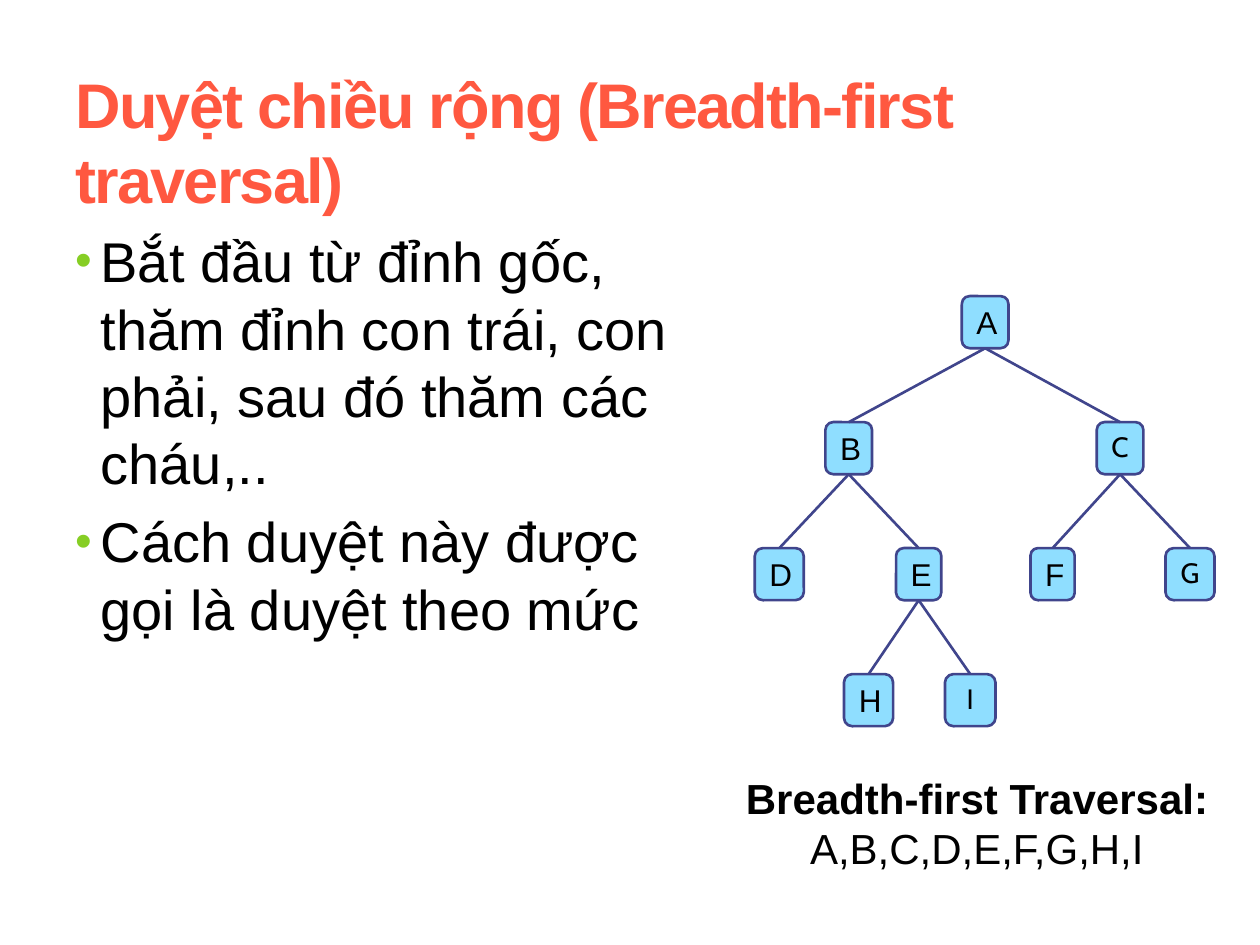
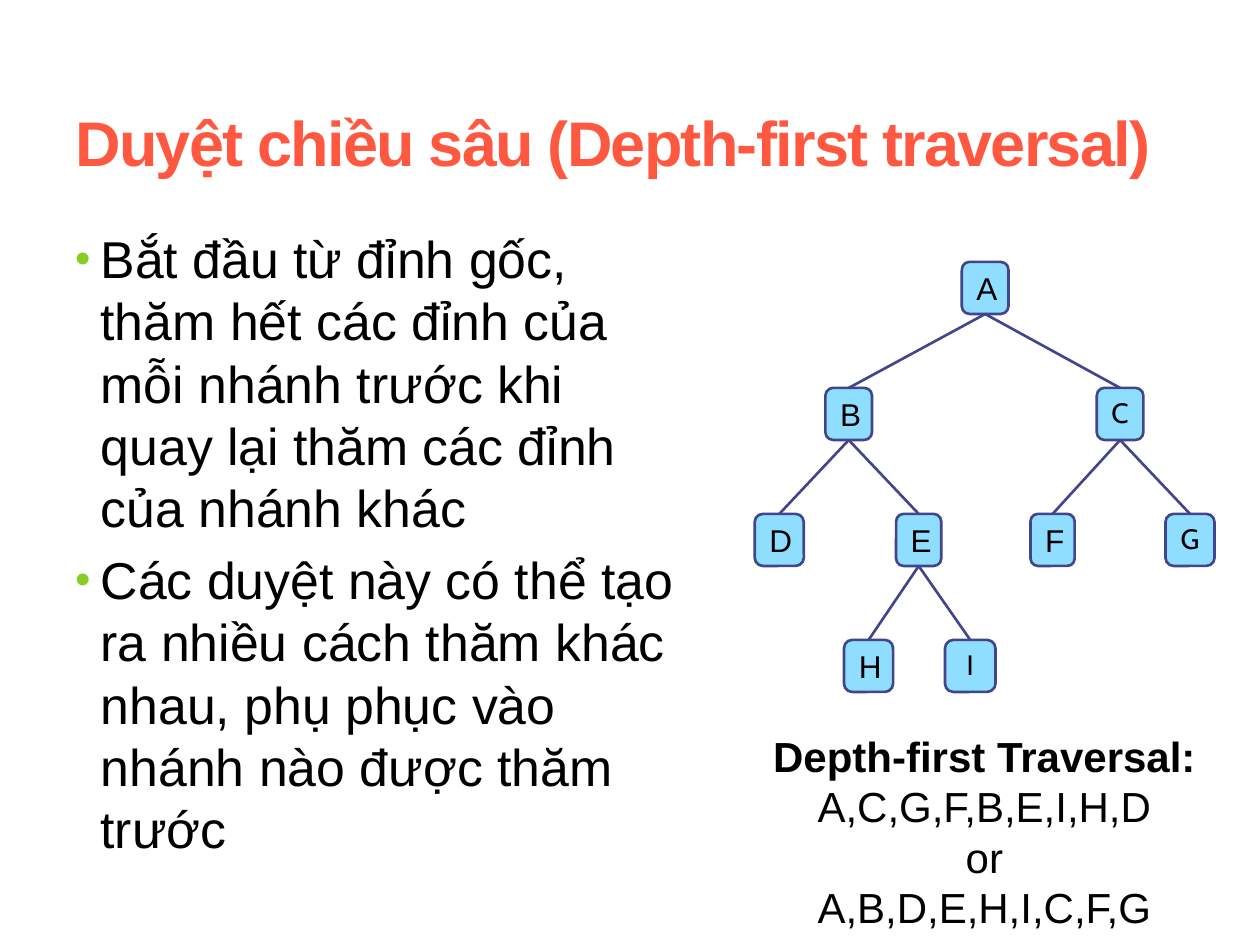
from pptx import Presentation, util as u
from pptx.dml.color import RGBColor
from pptx.enum import shapes, text
from pptx.oxml.ns import qn
from lxml import etree

# Shared look
CORAL, GREEN, BLACK = "FF5840", "86CE24", "000000"
NODE_FILL, NODE_LINE = "8FDEFF", "40458C"
ARIAL, CABIN = "Arial", "Cabin"

# Tree: label -> (level, centre x in cm, width in cm)
NODES = {
    "A": (0, 19.86, 0.94),
    "B": (1, 17.11, 0.94), "C": (1, 22.58, 0.94),
    "D": (2, 15.71, 0.99), "E": (2, 18.52, 0.91),
    "F": (2, 21.22, 0.89), "G": (2, 23.99, 0.99),
    "H": (3, 17.51, 0.99), "I": (3, 19.56, 1.02),
}
EDGES = ["AB", "AC", "BD", "BE", "CF", "CG", "EH", "EI"]
CABIN_NODES = "CGI"
NODE_HEIGHT, LEVEL_STEP = 1.05, 2.54


def color(hex_code):
    return RGBColor.from_string(hex_code)


def add_text(p, content, size=18, font=ARIAL, fill=BLACK, bold=False, spacing=None):
    """Add text to a paragraph; a newline becomes a line break."""
    for i, line in enumerate(content.split("\n")):
        if i:
            p.add_line_break()
        r = p.add_run()
        r.text = line
        r.font.size, r.font.name, r.font.bold = u.Pt(size), font, bold
        r.font.color.rgb = color(fill)
        if spacing is not None:
            r._r.get_or_add_rPr().set("spc", str(spacing * 100))


def add_box(s, left, top, width, height, anchor=text.MSO_ANCHOR.TOP):
    sp = s.shapes.add_textbox(u.Cm(left), u.Cm(top), u.Cm(width), u.Cm(height))
    tf = sp.text_frame
    tf.word_wrap = True
    tf.vertical_anchor = anchor
    return tf


def add_paragraph(tf, index):
    return tf.add_paragraph() if index else tf.paragraphs[0]


def add_title(s, title):
    tf = add_box(s, 1.27, 1.47, 22.86, 2.74, text.MSO_ANCHOR.MIDDLE)
    add_text(tf.paragraphs[0], title, size=36, fill=CORAL, bold=True, spacing=-1)


def set_bullet(p):
    pPr = p._p.get_or_add_pPr()
    pPr.set("marL", str(u.Cm(0.51)))
    pPr.set("indent", str(u.Cm(-0.51)))
    bu_color = etree.SubElement(pPr, qn("a:buClr"))
    etree.SubElement(bu_color, qn("a:srgbClr"), val=GREEN)
    etree.SubElement(pPr, qn("a:buSzPct"), val="85000")
    etree.SubElement(pPr, qn("a:buFont"), typeface=ARIAL)
    etree.SubElement(pPr, qn("a:buChar"), char="•")


def add_bullets(s, items, size):
    tf = add_box(s, 1.27, 4.45, 12.7, 12.9)
    for i, item in enumerate(items):
        p = add_paragraph(tf, i)
        set_bullet(p)
        if i:
            p.space_before = u.Pt(round(size * 0.2, 1))
        add_text(p, item, size=size)


def add_caption(s, box, heading, orders):
    """Bold heading that wraps before the first visiting order."""
    tf = add_box(s, *box)
    for i, order in enumerate(orders):
        p = add_paragraph(tf, i)
        p.alignment = text.PP_ALIGN.CENTER
        if i == 0:
            add_text(p, heading + " ", size=24, bold=True)
        add_text(p, order, size=24)


def add_node(group, label, tree_top):
    level, center, width = NODES[label]
    sp = group.shapes.add_shape(
        shapes.MSO_SHAPE.ROUNDED_RECTANGLE, u.Cm(center - width / 2),
        u.Cm(tree_top + level * LEVEL_STEP), u.Cm(width), u.Cm(NODE_HEIGHT))
    sp.shadow.inherit = False
    sp.fill.solid()
    sp.fill.fore_color.rgb = color(NODE_FILL)
    sp.line.color.rgb = color(NODE_LINE)
    sp.line.width = u.Pt(1.5)
    tf = sp.text_frame
    tf.word_wrap = False
    tf.vertical_anchor = text.MSO_ANCHOR.MIDDLE
    p = tf.paragraphs[0]
    if label in CABIN_NODES:
        p.alignment = text.PP_ALIGN.CENTER
        p.line_spacing = 0.93
        add_text(p, label, size=16, font=CABIN)
    else:
        p.alignment = text.PP_ALIGN.LEFT
        add_text(p, label)
    return sp


def add_edge(group, parent, child):
    line = group.shapes.add_connector(
        shapes.MSO_CONNECTOR.STRAIGHT,
        parent.left + parent.width // 2, parent.top + parent.height,
        child.left + child.width // 2, child.top)
    line.begin_connect(parent, 2)
    line.end_connect(child, 0)
    line.line.color.rgb = color(NODE_LINE)
    line.line.width = u.Pt(1.5)
    etree.SubElement(line._element.spPr, qn("a:effectLst"))


def add_tree(s, top):
    group = s.shapes.add_group_shape()
    nodes = {label: add_node(group, label, top) for label in NODES}
    for parent, child in EDGES:
        add_edge(group, nodes[parent], nodes[child])


def main():
    prs = Presentation()
    prs.slide_width, prs.slide_height = u.Cm(25.4), u.Cm(19.05)
    blank = prs.slide_layouts[6]

    # Breadth-first traversal
    s = prs.slides.add_slide(blank)
    add_title(s, "Duyệt chiều rộng (Breadth-first traversal)")
    add_bullets(s, [
        "Bắt đầu từ đỉnh gốc, thăm đỉnh con trái, con phải, sau đó thăm các cháu,..",
        "Cách duyệt này được gọi là duyệt theo mức",
    ], size=32)
    add_caption(s, (14.4, 15.44, 10.59, 2.31), "Breadth-first Traversal:",
                ["A,B,C,D,E,F,G,H,I"])
    add_tree(s, top=5.97)

    # Depth-first traversal
    s = prs.slides.add_slide(blank)
    add_title(s, "Duyệt chiều sâu (Depth-first traversal)")
    add_bullets(s, [
        "Bắt đầu từ đỉnh gốc, thăm hết các đỉnh của mỗi nhánh trước khi quay lại "
        "thăm các đỉnh của nhánh khác",
        "Các duyệt này có thể tạo ra nhiều cách thăm khác nhau, phụ phục vào "
        "nhánh nào được thăm trước",
    ], size=29.6)
    add_caption(s, (15.11, 14.6, 9.47, 4.37), "Depth-first Traversal:",
                ["A,C,G,F,B,E,I,H,D", "or\nA,B,D,E,H,I,C,F,G"])
    add_tree(s, top=5.28)

    prs.save("out.pptx")


if __name__ == "__main__":
    main()
